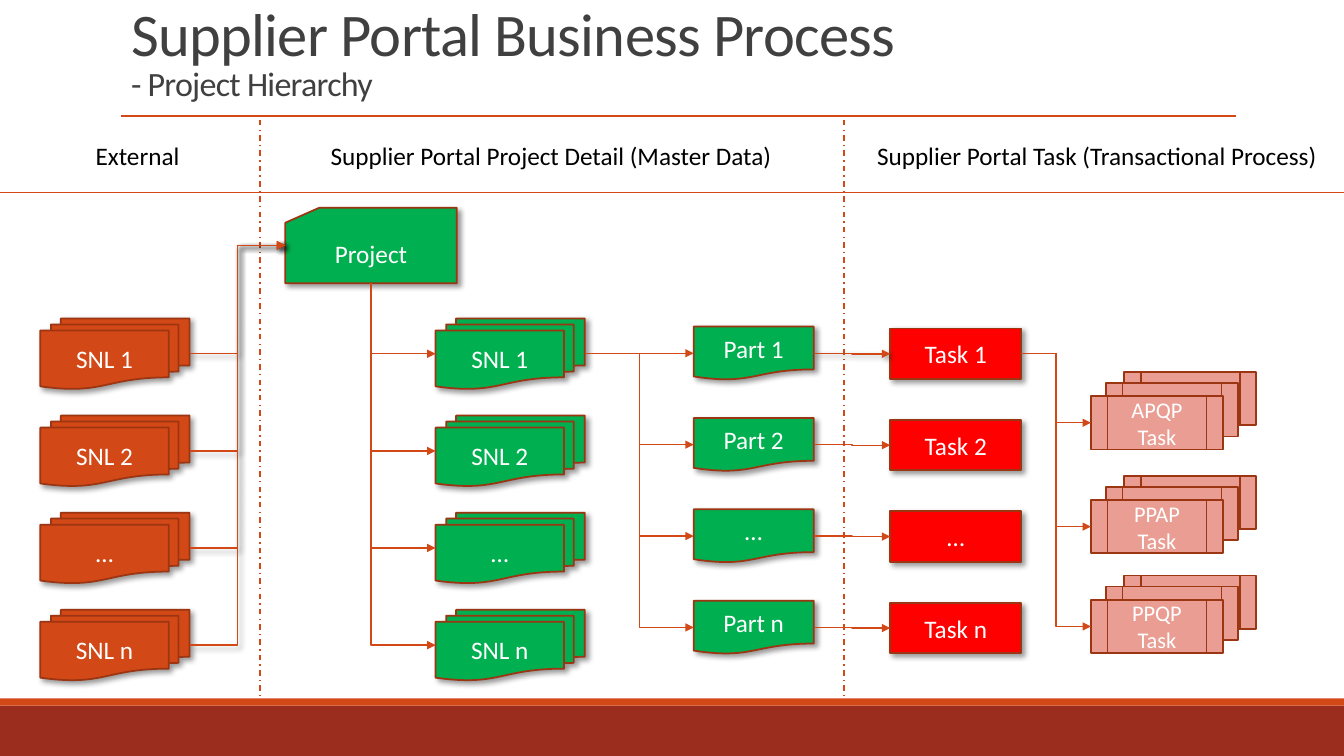
from lxml.etree import SubElement
from pptx import Presentation
from pptx.dml.color import RGBColor
from pptx.enum.dml import MSO_LINE
from pptx.enum.shapes import MSO_CONNECTOR as CONNECTOR, MSO_SHAPE as SHAPE
from pptx.enum.text import MSO_ANCHOR as ANCHOR, MSO_AUTO_SIZE as AUTO_SIZE, PP_ALIGN as ALIGN
from pptx.oxml.ns import qn
from pptx.util import Inches, Pt

COLORS = {
    "band": "9B2D1F",
    "accent": "D34817",
    "outline": "9C3511",
    "master": "00B050",
    "task": "FF0000",
    "subtask": "E99D93",
    "title": "404040",
    "label": "000000",
    "white": "FFFFFF",
}
FONT = "Calibri"
TOP, LEFT, BOTTOM, RIGHT = range(4)  # connection sites


def color(name):
    return RGBColor.from_string(COLORS[name])


def spread(first, last, count):
    return [first + (last - first) * i / (count - 1) for i in range(count)]


def format_run(run, size, color_name):
    run.font.name = FONT
    run.font.size = Pt(size)
    run.font.color.rgb = color(color_name)


def add_shadow(effects):
    shadow = SubElement(effects, qn("a:outerShdw"), blurRad=str(Pt(4)), dist=str(Pt(3)),
                        dir="2700000", algn="tl", rotWithShape="0")
    black = SubElement(shadow, qn("a:srgbClr"), val="000000")
    SubElement(black, qn("a:alpha"), val="40000")


def add_box(shapes, kind, box, fill, text="", size=18, outlined=True, shadow=True):
    shape = shapes.add_shape(kind, *map(Inches, box))
    shape.shadow.inherit = False
    shape.fill.solid()
    shape.fill.fore_color.rgb = color(fill)
    if outlined:
        shape.line.color.rgb = color("outline")
        shape.line.width = Pt(1.25)
    else:
        shape.line.fill.background()
    if shadow:
        add_shadow(shape._element.spPr.find(qn("a:effectLst")))
    if text:
        frame = shape.text_frame
        frame.text = text
        frame.word_wrap = True
        frame.vertical_anchor = ANCHOR.MIDDLE
        frame.paragraphs[0].alignment = ALIGN.CENTER
        format_run(frame.paragraphs[0].runs[0], size, "white")
    return shape


def add_column(shapes, kind, left, tops, size, fill, labels):
    return [add_box(shapes, kind, (left, top, *size), fill, label)
            for top, label in zip(tops, labels)]


def add_stack(shapes, top, label):
    """Three overlapping cards; the front one carries the label."""
    group = shapes.add_group_shape()
    for left, offset, text in ((11.15, 0, ""), (10.97, 0.11, ""), (10.82, 0.24, label)):
        card = add_box(group.shapes, SHAPE.FLOWCHART_PREDEFINED_PROCESS,
                       (left, top + offset, 1.31, 0.53), "subtask", text, 16, shadow=False)
    return card


def add_line(shapes, begin, end, kind=CONNECTOR.STRAIGHT, dashed=False):
    line = shapes.add_connector(kind, *map(Inches, (*begin, *end)))
    line.line.color.rgb = color("accent")
    line.line.width = Pt(1)
    if dashed:
        line.line.dash_style = MSO_LINE.DASH_DOT
    SubElement(line._element.spPr, qn("a:effectLst"))
    return line


def add_link(shapes, source, target, site=RIGHT, shadow=False):
    """Elbow arrow glued to a site of the source and the left of the target."""
    link = add_line(shapes, (0, 0), (1, 1), CONNECTOR.ELBOW)
    link.begin_connect(source, site)
    link.end_connect(target, LEFT)
    properties = link._element.spPr
    SubElement(properties.find(qn("a:ln")), qn("a:tailEnd"), type="triangle")
    if shadow:
        add_shadow(properties.find(qn("a:effectLst")))
    if site == BOTTOM:
        turn_down_first(link)


def turn_down_first(link):
    """Make the elbow a single bend that runs down, then right."""
    width, height = link.width, link.height
    link.left += (width - height) // 2
    link.top += (height - width) // 2
    link.width, link.height = height, width
    properties = link._element.spPr
    properties.find(qn("a:prstGeom")).set("prst", "bentConnector2")
    frame = properties.find(qn("a:xfrm"))
    frame.set("rot", "16200000")
    frame.set("flipH", "1")


def add_heading(shapes, left, width, text):
    box = shapes.add_textbox(*map(Inches, (left, 1.34, width, 0.4)))
    box.text_frame.text = text
    box.text_frame.word_wrap = False
    format_run(box.text_frame.paragraphs[0].runs[0], 18, "label")


def set_title(title):
    title.left, title.top, title.width, title.height = map(Inches, (1.2, 0.27, 11, 0.81))
    frame = title.text_frame
    frame.text = "Supplier Portal Business Process\v- Project Hierarchy"
    frame.word_wrap = True
    frame.auto_size = AUTO_SIZE.NONE
    frame.vertical_anchor = ANCHOR.BOTTOM
    paragraph = frame.paragraphs[0]
    paragraph.alignment = ALIGN.LEFT
    paragraph.line_spacing = 0.85
    for run, size in zip(paragraph.runs, (43.2, 24.3)):
        format_run(run, size, "title")
        run.font._element.set("spc", "-50")


def main():
    presentation = Presentation()
    presentation.slide_width, presentation.slide_height = Inches(13.33), Inches(7.5)
    slide = presentation.slides.add_slide(presentation.slide_layouts[5])
    shapes = slide.shapes

    # Frame, title and lanes
    for box, fill in (((0, 7, 13.33, 0.5), "band"), ((0, 6.93, 13.33, 0.07), "accent")):
        add_box(shapes, SHAPE.RECTANGLE, box, fill, outlined=False, shadow=False)
    set_title(shapes.title)
    add_line(shapes, (1.2, 1.15), (12.26, 1.15))
    add_line(shapes, (0, 1.91), (13.33, 1.91))
    for x in (2.58, 8.37):
        add_line(shapes, (x, 1.19), (x, 6.92), dashed=True)
    add_heading(shapes, 0.85, 1.04, "External")
    add_heading(shapes, 3.18, 4.62, "Supplier Portal Project Detail (Master Data)")
    add_heading(shapes, 8.6, 4.61, "Supplier Portal Task (Transactional Process)")

    # Project and its columns
    project = add_box(shapes, SHAPE.FLOWCHART_CARD, (2.83, 2.06, 1.7, 0.75), "master", "Project")
    snl_labels = ("SNL 1", "SNL 2", "…", "SNL n")
    snl_tops = spread(3.16, 6.05, 4)
    external_snls, project_snls = (
        add_column(shapes, SHAPE.FLOWCHART_MULTIDOCUMENT, left, snl_tops, (1.48, 0.7),
                   fill, snl_labels)
        for left, fill in ((0.4, "accent"), (4.32, "master")))
    parts = add_column(shapes, SHAPE.FLOWCHART_DOCUMENT, 6.88, spread(3.24, 5.96, 4),
                       (1.19, 0.53), "master", ("Part 1", "Part 2", "…", "Part n"))
    tasks = add_column(shapes, SHAPE.FLOWCHART_PROCESS, 8.83, spread(3.26, 5.98, 4),
                       (1.3, 0.5), "task", ("Task 1", "Task 2", "…", "Task n"))
    subtasks = [add_stack(shapes, top, label) for top, label in
                ((3.69, "APQP Task"), (4.72, "PPAP Task"), (5.71, "PPQP Task"))]

    # Arrows
    for snl in external_snls:
        add_link(shapes, snl, project, shadow=True)
    for snl in project_snls:
        add_link(shapes, project, snl, BOTTOM)
    for part, task in zip(parts, tasks):
        add_link(shapes, project_snls[0], part)
        add_link(shapes, part, task, shadow=part is parts[0])
    for subtask in subtasks:
        add_link(shapes, tasks[0], subtask)

    presentation.save("out.pptx")


if __name__ == "__main__":
    main()
